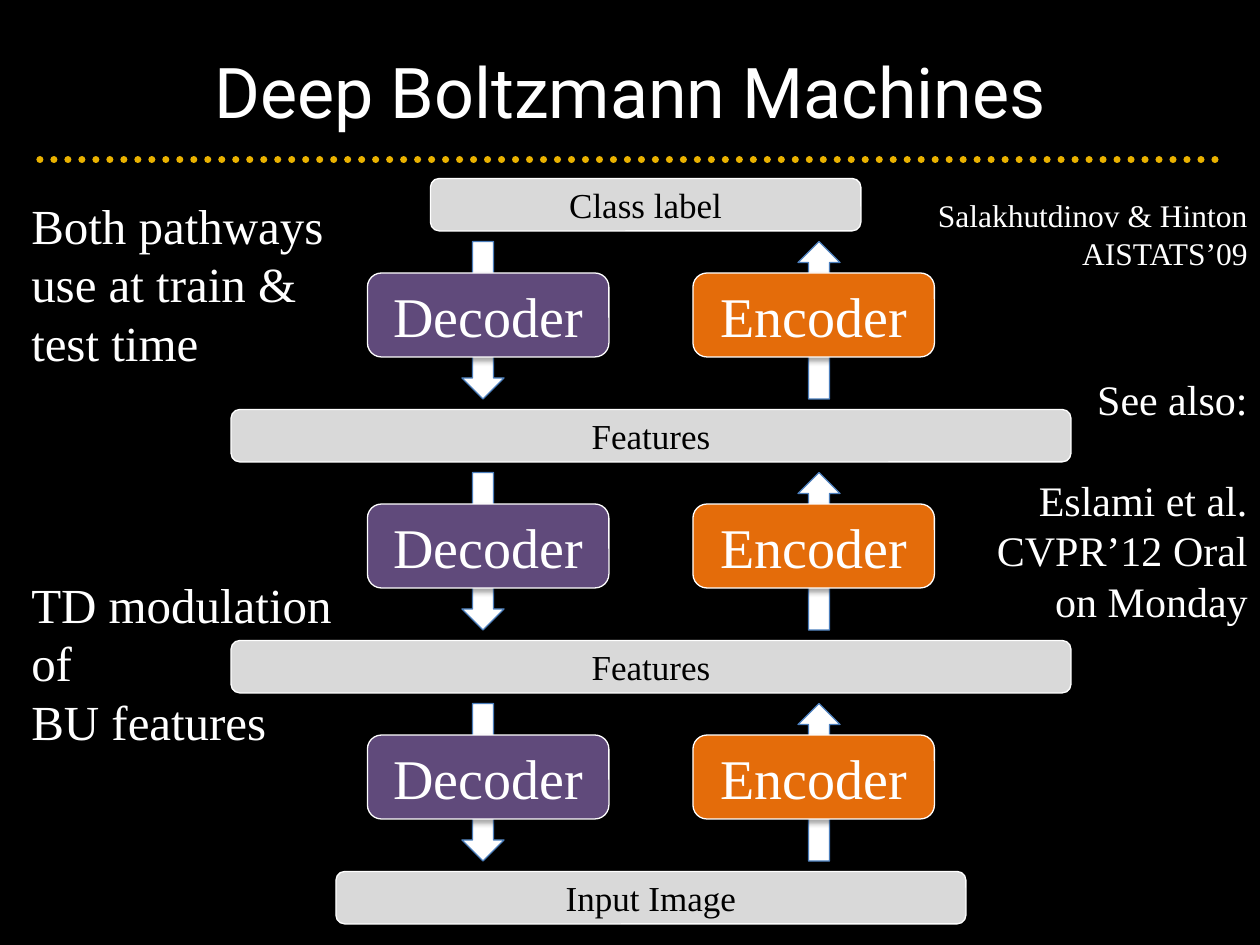
from dataclasses import dataclass

from lxml.etree import SubElement
from pptx import Presentation
from pptx.dml.color import RGBColor
from pptx.enum.dml import MSO_LINE_DASH_STYLE as Dash
from pptx.enum.shapes import MSO_CONNECTOR as Connector, MSO_SHAPE as Shape
from pptx.enum.text import MSO_ANCHOR as Anchor, PP_ALIGN as Align
from pptx.oxml import parse_xml
from pptx.oxml.ns import qn
from pptx.util import Emu, Pt

SCALE = 7620
ROW_PITCH = 220
SHADOW = (
    '<a:effectLst xmlns:a="http://schemas.openxmlformats.org/drawingml/2006/main">'
    '<a:outerShdw blurRad="39370" dist="22860" dir="5400000" rotWithShape="0">'
    '<a:srgbClr val="000000"><a:alpha val="35000"/></a:srgbClr>'
    "</a:outerShdw></a:effectLst>"
)


@dataclass(frozen=True)
class Theme:
    background: str = "000000"
    light: str = "FFFFFF"
    dark: str = "000000"
    layer: str = "D9D9D9"
    decoder: str = "604A7B"
    encoder: str = "E46C0A"
    arrow_line: str = "4B7EBC"
    divider: str = "EAB200"
    title_font: str = "Roboto"
    body_font: str = "Times New Roman"
    title_size: int = 40
    module_size: int = 32
    note_size: int = 28
    aside_size: int = 24
    layer_size: int = 20
    citation_size: int = 18


@dataclass(frozen=True)
class Box:
    left: int
    top: int
    width: int
    height: int

    def emu(self) -> list[Emu]:
        return [px(n) for n in (self.left, self.top, self.width, self.height)]


@dataclass(frozen=True)
class Layer:
    label: str
    left: int
    width: int


@dataclass(frozen=True)
class Pathway:
    label: str
    color: str
    module_left: int
    arrow_left: int
    arrow: Shape


@dataclass(frozen=True)
class Note:
    box: Box
    paragraphs: tuple[str, ...]
    size: int
    align: Align
    gap: float = 0


THEME = Theme()
LAYERS = (
    Layer("Class label", 410, 410),
    Layer("Features", 220, 800),
    Layer("Features", 220, 800),
    Layer("Input Image", 320, 600),
)
PATHWAYS = (
    Pathway("Decoder", THEME.decoder, 350, 440, Shape.DOWN_ARROW),
    Pathway("Encoder", THEME.encoder, 660, 760, Shape.UP_ARROW),
)
NOTES = (
    Note(Box(18, 180, 326, 545),
         ("Both pathways\vuse at train &\vtest time", "TD modulation\vof\vBU features"),
         THEME.note_size, Align.LEFT, 115.7),
    Note(Box(868, 181, 332, 85), ("Salakhutdinov & Hinton", "AISTATS’09"),
         THEME.citation_size, Align.RIGHT),
    Note(Box(930, 350, 270, 352),
         ("See also:", "Eslami et al.\vCVPR’12 Oral\von Monday"),
         THEME.aside_size, Align.RIGHT, 28.8),
)


def px(length: int) -> Emu:
    return Emu(length * SCALE)


def rgb(color: str) -> RGBColor:
    return RGBColor.from_string(color)


def write(frame, *paragraphs: str, size: int, color: str = THEME.light,
          font: str = THEME.body_font, align: Align = Align.CENTER,
          anchor: Anchor = Anchor.MIDDLE, gap: float = 0) -> None:
    frame.word_wrap = True
    frame.vertical_anchor = anchor
    for index, text in enumerate(paragraphs):
        paragraph = frame.add_paragraph() if index else frame.paragraphs[0]
        paragraph.text = text
        paragraph.alignment = align
        if index and gap:
            paragraph.space_before = Pt(gap)
        for run in paragraph.runs:
            run.font.name = font
            run.font.size = Pt(size)
            run.font.color.rgb = rgb(color)


def draw_shape(slide, kind: Shape, box: Box, fill: str, line: str):
    shape = slide.shapes.add_shape(kind, *box.emu())
    shape.fill.solid()
    shape.fill.fore_color.rgb = rgb(fill)
    shape.line.color.rgb = rgb(line)
    shape.line.width = Pt(0.75)
    shape.element.spPr.append(parse_xml(SHADOW))
    return shape


def draw_layer(slide, layer: Layer, row: int) -> None:
    box = Box(layer.left, 170 + row * ROW_PITCH, layer.width, 50)
    shape = draw_shape(slide, Shape.ROUNDED_RECTANGLE, box, THEME.layer, THEME.light)
    write(shape.text_frame, layer.label, size=THEME.layer_size, color=THEME.dark)


def draw_pathway(slide, pathway: Pathway, row: int) -> None:
    offset = row * ROW_PITCH
    arrow_box = Box(pathway.arrow_left, 230 + offset, 40, 150)
    draw_shape(slide, pathway.arrow, arrow_box, THEME.light, THEME.arrow_line)
    module_box = Box(pathway.module_left, 260 + offset, 230, 80)
    module = draw_shape(slide, Shape.ROUNDED_RECTANGLE, module_box, pathway.color, THEME.light)
    write(module.text_frame, pathway.label, size=THEME.module_size)


def draw_note(slide, note: Note) -> None:
    text_box = slide.shapes.add_textbox(*note.box.emu())
    write(text_box.text_frame, *note.paragraphs, size=note.size, align=note.align,
          anchor=Anchor.TOP, gap=note.gap)


def draw_title(slide) -> None:
    title = slide.shapes.title
    title.left, title.top, title.width, title.height = Box(60, 11, 1080, 150).emu()
    write(title.text_frame, "Deep Boltzmann Machines", size=THEME.title_size,
          font=THEME.title_font)


def draw_divider(slide) -> None:
    divider = slide.shapes.add_connector(Connector.STRAIGHT, px(38), px(152), px(1170), px(152))
    divider.line.color.rgb = rgb(THEME.divider)
    divider.line.width = Pt(4)
    divider.line.dash_style = Dash.ROUND_DOT
    properties = divider.element.spPr
    properties.find(qn("a:ln")).set("cap", "rnd")
    SubElement(properties, qn("a:effectLst"))


def main() -> None:
    presentation = Presentation()
    presentation.slide_width, presentation.slide_height = px(1200), px(900)
    slide = presentation.slides.add_slide(presentation.slide_layouts[5])
    slide.background.fill.solid()
    slide.background.fill.fore_color.rgb = rgb(THEME.background)
    draw_title(slide)
    draw_divider(slide)
    for row, layer in enumerate(LAYERS):
        draw_layer(slide, layer, row)
    for row in range(len(LAYERS) - 1):
        for pathway in PATHWAYS:
            draw_pathway(slide, pathway, row)
    for note in NOTES:
        draw_note(slide, note)
    presentation.save("out.pptx")


if __name__ == "__main__":
    main()
